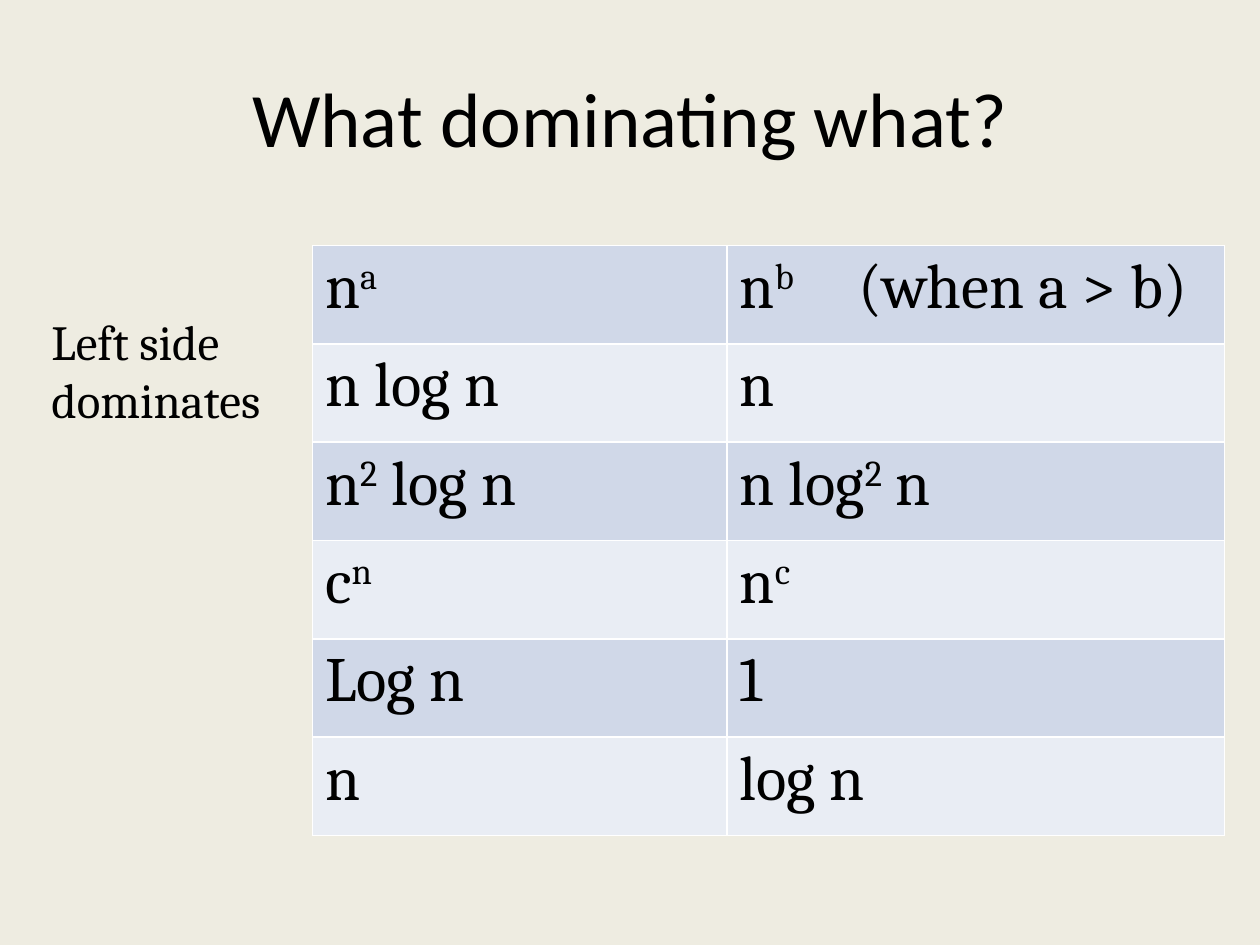
from lxml.etree import SubElement
from pptx import Presentation
from pptx.dml.color import RGBColor
from pptx.enum.text import MSO_ANCHOR, MSO_AUTO_SIZE, PP_ALIGN
from pptx.oxml.ns import qn
from pptx.util import Inches, Pt

BODY_FONT = "Cambria"
BLACK = "000000"
BANDS = ("D0D8E8", "E9EDF4")
# Text between carets is raised.
COMPARISONS = [
    ("n^a^", "n^b^\t(when a > b)"),
    ("n log n", "n"),
    ("n^2^ log n", "n log^2^ n"),
    ("c^n^", "n^c^"),
    ("Log n", "1"),
    ("n", "log n"),
]


def color(hex_string):
    return RGBColor.from_string(hex_string)


def style(r, size, font=BODY_FONT):
    r.font.size = Pt(size)
    r.font.name = font
    r.font.color.rgb = color(BLACK)


def add_tab_stop(p, position):
    tabs = SubElement(p._p.get_or_add_pPr(), qn("a:tabLst"))
    SubElement(tabs, qn("a:tab"), pos=str(position), algn="l")


def write_formula(p, formula, size):
    """Write text whose caret-enclosed parts are superscripts."""
    if "\t" in formula:
        add_tab_stop(p, Inches(0.94))
    for i, part in enumerate(formula.split("^")):
        if part:
            r = p.add_run()
            r.text = part
            style(r, size)
            if i % 2:
                r.font._element.set("baseline", "30000")


def set_borders(cell, hex_string, width):
    tc_pr = cell._tc.get_or_add_tcPr()
    for side in ("lnL", "lnR", "lnT", "lnB"):
        ln = SubElement(tc_pr, qn(f"a:{side}"), w=str(Pt(width)))
        fill = SubElement(ln, qn("a:solidFill"))
        SubElement(fill, qn("a:srgbClr"), val=hex_string)


def set_title(slide, text):
    title = slide.shapes.title
    title.left, title.top = Inches(0.5), Inches(0.3)
    title.width, title.height = Inches(9), Inches(1.25)
    tf = title.text_frame
    tf.text = text
    tf.vertical_anchor = MSO_ANCHOR.MIDDLE
    p = tf.paragraphs[0]
    p.alignment = PP_ALIGN.CENTER
    style(p.runs[0], 44, "Calibri")


def add_comparison_table(slide):
    row_height = Inches(0.78)
    frame = slide.shapes.add_table(
        len(COMPARISONS), 2, Inches(2.48), Inches(1.95),
        Inches(7.24), row_height * len(COMPARISONS))
    table = frame.table
    table.first_row = False
    table.columns[0].width = Inches(3.29)
    table.columns[1].width = Inches(3.95)
    for i, formulas in enumerate(COMPARISONS):
        table.rows[i].height = row_height
        for cell, formula in zip(table.rows[i].cells, formulas):
            set_borders(cell, "FFFFFF", 1)
            cell.fill.solid()
            cell.fill.fore_color.rgb = color(BANDS[i % 2])
            write_formula(cell.text_frame.paragraphs[0], formula, 36)


def add_label(slide, text):
    box = slide.shapes.add_textbox(
        Inches(0.31), Inches(2.42), Inches(2.34), Inches(1.04))
    tf = box.text_frame
    tf.word_wrap = True
    tf.auto_size = MSO_AUTO_SIZE.SHAPE_TO_FIT_TEXT
    tf.text = text
    style(tf.paragraphs[0].runs[0], 28)


def main():
    prs = Presentation()
    prs.slide_width, prs.slide_height = Inches(10), Inches(7.5)
    slide = prs.slides.add_slide(prs.slide_layouts[5])
    background = slide.background.fill
    background.solid()
    background.fore_color.rgb = color("EEECE1")
    set_title(slide, "What dominating what?")
    add_comparison_table(slide)
    add_label(slide, "Left side dominates")
    prs.save("out.pptx")


if __name__ == "__main__":
    main()
